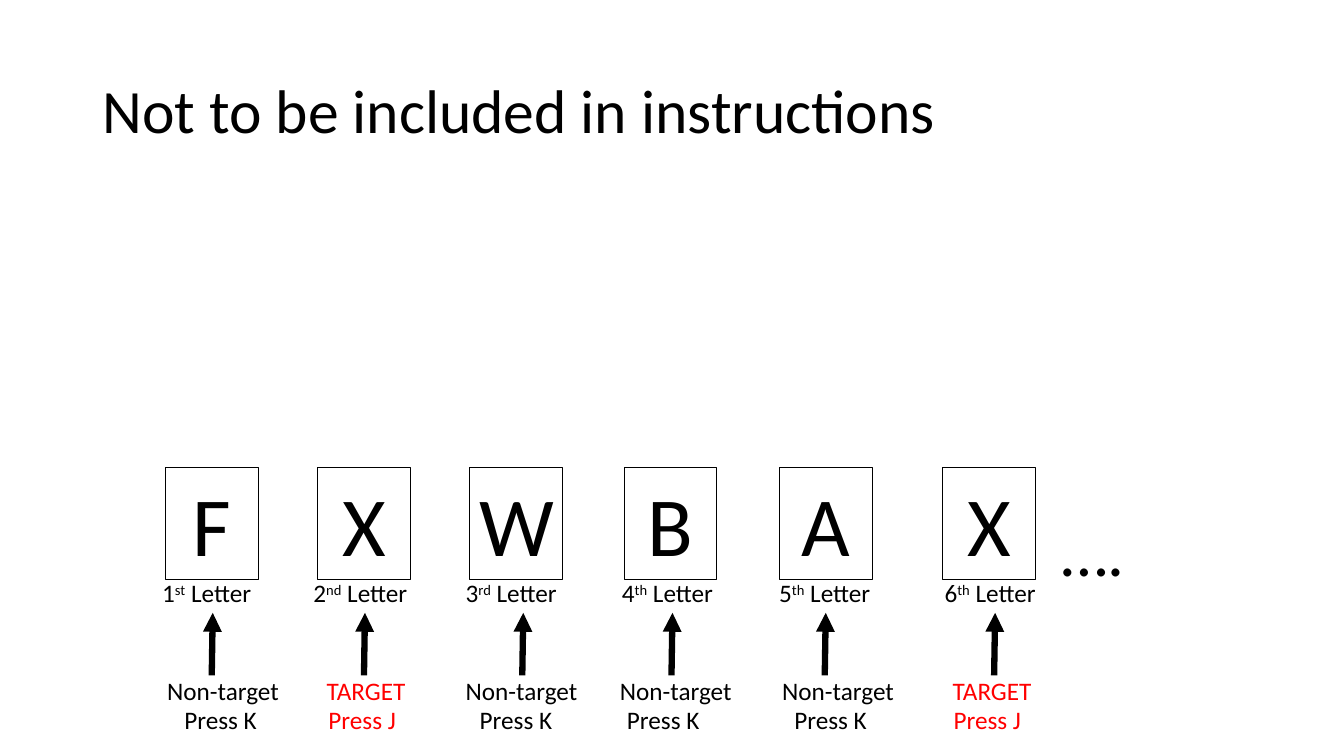
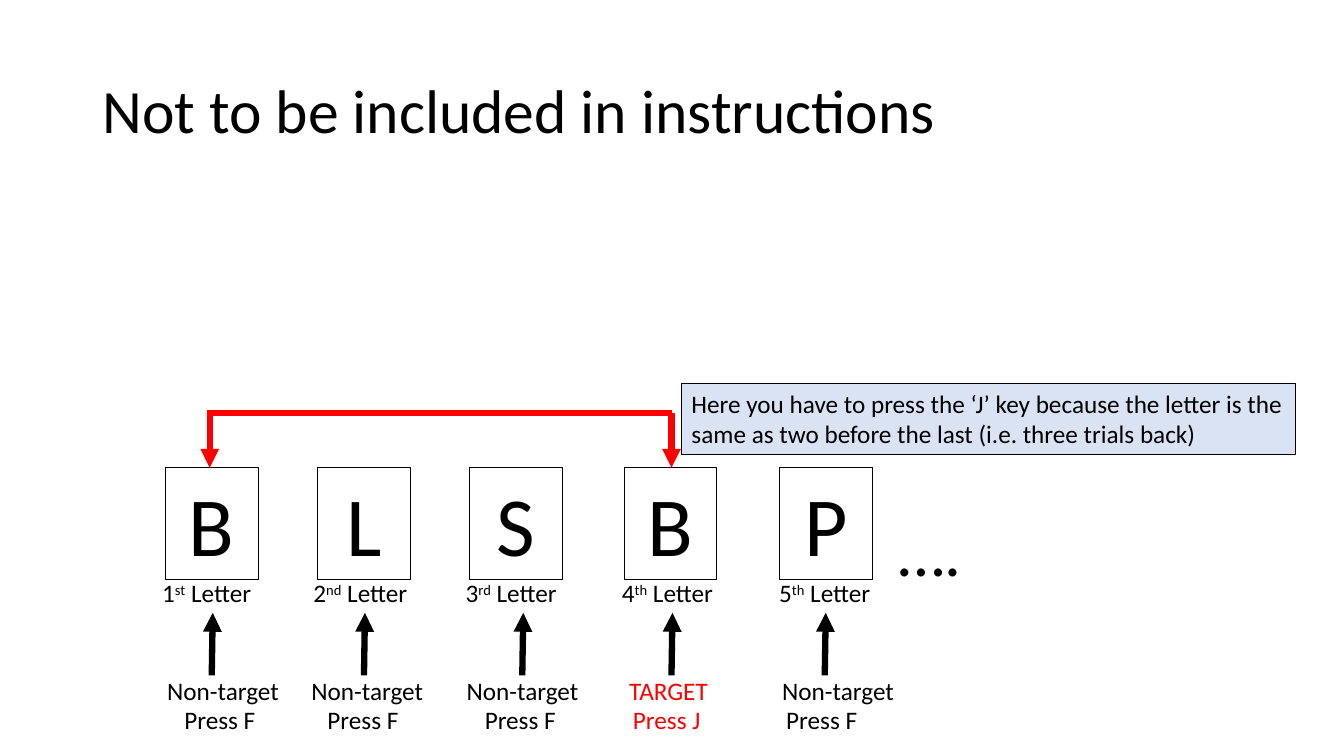
from collections import namedtuple
from lxml.etree import SubElement
from pptx import Presentation
from pptx.dml.color import RGBColor
from pptx.enum.shapes import MSO_CONNECTOR, MSO_SHAPE
from pptx.enum.text import MSO_ANCHOR, PP_ALIGN
from pptx.oxml.ns import qn
from pptx.util import Inches, Pt

BLACK = RGBColor(0, 0, 0)
WHITE = RGBColor(255, 255, 255)
RED = RGBColor(255, 0, 0)
PALE = RGBColor(0xDA, 0xE3, 0xF3)
FONT = "Calibri"
TITLE = "Not to be included in instructions"

CARD_TOP, CARD_W, CARD_H = 4.64, 0.92, 1.11
LABEL_TOP, ARROW_TOP, ARROW_END = 5.68, 6.08, 6.7
VERDICT_TOP, PRESS_TOP = 6.65, 6.94

# Each column: left of the card, left of the label, foot of the arrow, ordinal ending
Column = namedtuple("Column", "card label arrow ending")
COLUMNS = [
    Column(1.64, 1.51, 2.1, "st"),
    Column(3.15, 3.01, 3.61, "nd"),
    Column(4.66, 4.52, 5.18, "rd"),
    Column(6.19, 6.07, 6.66, "th"),
    Column(7.73, 7.63, 8.18, "th"),
    Column(9.35, 9.27, 9.86, "th"),
]

# Each trial: letter, key to press, left of the verdict, left of the key text
Trial = namedtuple("Trial", "letter key verdict press")
LAST_TWO = [
    Trial("F", "K", 1.56, 1.73),
    Trial("X", "J", 3.14, 3.16),
    Trial("W", "K", 4.52, 4.66),
    Trial("B", "K", 6.05, 6.12),
    Trial("A", "K", 7.66, 7.78),
    Trial("X", "J", 9.35, 9.36),
]
THREE_BACK = [
    Trial("B", "F", 1.56, 1.73),
    Trial("L", "F", 2.99, 3.15),
    Trial("S", "F", 4.53, 4.71),
    Trial("B", "J", 6.14, 6.18),
    Trial("P", "F", 7.66, 7.7),
]


def style(para, size, color=BLACK):
    """Format every run of a paragraph."""
    for run in para.runs:
        run.font.name = FONT
        run.font.size = Pt(size)
        run.font.color.rgb = color


def add_text(slide, box, text, size=18, color=BLACK):
    """Add a text box and return it."""
    shape = slide.shapes.add_textbox(*map(Inches, box))
    frame = shape.text_frame
    frame.word_wrap = True
    frame.text = text
    style(frame.paragraphs[0], size, color)
    return shape


def add_panel(slide, box, text, size, fill, align):
    """Add an outlined rectangle with text from its top."""
    shape = slide.shapes.add_shape(MSO_SHAPE.RECTANGLE, *map(Inches, box))
    shape.shadow.inherit = False
    shape.fill.solid()
    shape.fill.fore_color.rgb = fill
    shape.line.color.rgb = BLACK
    shape.line.width = Pt(0.75)
    frame = shape.text_frame
    frame.word_wrap = True
    frame.vertical_anchor = MSO_ANCHOR.TOP
    frame.text = text
    frame.paragraphs[0].alignment = align
    style(frame.paragraphs[0], size)


def add_line(slide, start, end, color=BLACK, head=True):
    """Draw a thick straight line, with an arrowhead at its end if wanted."""
    line = slide.shapes.add_connector(
        MSO_CONNECTOR.STRAIGHT, *map(Inches, (*start, *end)))
    line.line.color.rgb = color
    line.line.width = Pt(4.5)
    if head:
        SubElement(line.line._get_or_add_ln(), qn("a:tailEnd"), type="triangle")
    SubElement(line._element.spPr, qn("a:effectLst"))


def add_title(slide, box):
    """Add the title, centred in height."""
    frame = add_text(slide, box, TITLE, 44).text_frame
    frame.vertical_anchor = MSO_ANCHOR.MIDDLE
    frame.paragraphs[0].line_spacing = 0.9


def add_label(slide, box, number, ending):
    """Name a letter by its ordinal, the ending raised."""
    para = add_text(slide, box, str(number)).text_frame.paragraphs[0]
    for text in (ending, " Letter"):
        para.add_run().text = text
    style(para, 18)
    para.runs[1].font._element.set("baseline", "30000")


def add_trial(slide, number, column, trial):
    """Draw one column: card, label, arrow and answer."""
    target = trial.key == "J"
    color = RED if target else BLACK
    add_panel(slide, (column.card, CARD_TOP, CARD_W, CARD_H), trial.letter,
              60, WHITE, PP_ALIGN.CENTER)
    add_label(slide, (column.label, LABEL_TOP, 1.27, 0.4), number, column.ending)
    add_line(slide, (column.arrow, ARROW_END), (column.arrow + 0.01, ARROW_TOP))
    add_text(slide, (trial.verdict, VERDICT_TOP, 1.42, 0.4),
             "TARGET" if target else "Non-target", color=color)
    add_text(slide, (trial.press, PRESS_TOP, 1.56, 0.4),
             f"Press {trial.key}", color=color)


def add_match(slide, left, right, top):
    """Join two equal letters with a red bracket."""
    for x in (left, right):
        add_line(slide, (x, top), (x, CARD_TOP), RED)
    add_line(slide, (left - 0.03, top), (right + 0.01, top), RED, head=False)


def add_task(deck, trials):
    """Build a slide with a row of trials and return it."""
    slide = deck.slides.add_slide(deck.slide_layouts[6])
    add_title(slide, (0.92, 0.4, 11.5, 1.45))
    for number, (column, trial) in enumerate(zip(COLUMNS, trials), 1):
        add_trial(slide, number, column, trial)
    dots = COLUMNS[len(trials) - 1].card + 1.08
    add_text(slide, (dots, 5, 2.34, 0.91), "….", 48)
    return slide


def main():
    """Build and save the deck."""
    deck = Presentation()
    deck.slide_width, deck.slide_height = Inches(13.33), Inches(7.5)
    add_task(deck, LAST_TWO)
    slide = add_task(deck, THREE_BACK)
    add_match(slide, 2.08, 6.66, 4.1)
    add_panel(slide, (6.76, 3.8, 6.09, 0.71),
              "Here you have to press the ‘J’ key because the letter is the "
              "same as two before the last (i.e. three trials back)",
              18, PALE, PP_ALIGN.LEFT)
    deck.save("out.pptx")


main()
